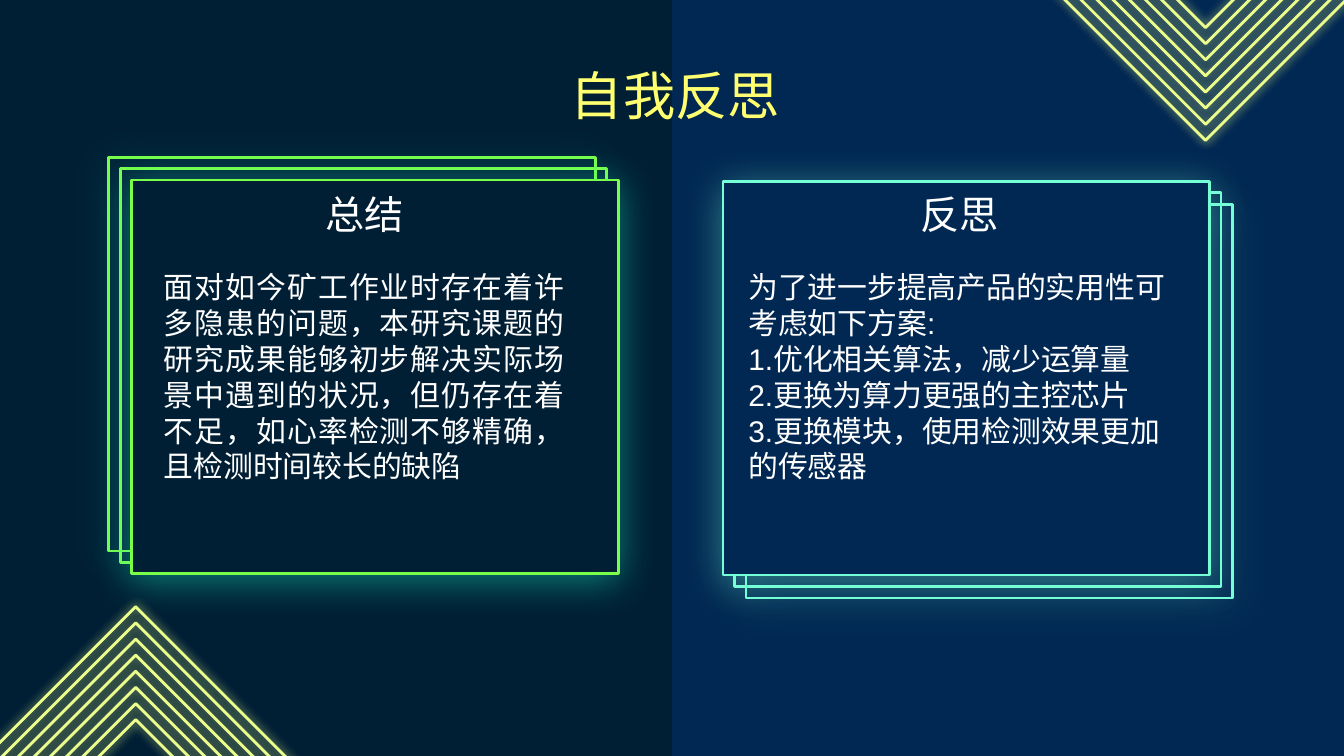
from lxml import etree
from pptx import Presentation
from pptx.dml.color import RGBColor
from pptx.enum.shapes import MSO_SHAPE as SHAPE
from pptx.enum.text import MSO_ANCHOR as ANCHOR, MSO_AUTO_SIZE as AUTO_SIZE, PP_ALIGN as ALIGN
from pptx.oxml.ns import qn
from pptx.util import Inches, Pt

NIGHT, NAVY = "001F35", "012853"
LIME, GREEN, AQUA, TEAL = "ECFF8C", "77FF4A", "75FFD7", "1FFFCE"
WHITE, YELLOW = "FFFFFF", "FFFF70"


def style_neon(shape, line, glow, alpha, blur, distance, fill=None):
    """Outline a shape and give it a soft coloured shadow."""
    if fill:
        shape.fill.solid()
        shape.fill.fore_color.rgb = RGBColor.from_string(fill)
    else:
        shape.fill.background()
    shape.line.color.rgb = RGBColor.from_string(line)
    shape.line.width = Pt(1.5)
    shape.shadow.inherit = False
    effects = shape._element.spPr.find(qn("a:effectLst"))
    shadow = etree.SubElement(effects, qn("a:outerShdw"), blurRad=str(Pt(blur)),
                              dist=str(Pt(distance)), dir="5400000",
                              algn="bl", rotWithShape="0")
    color = etree.SubElement(shadow, qn("a:srgbClr"), val=glow)
    etree.SubElement(color, qn("a:alpha"), val=str(alpha * 1000))


def write_text(box, place, lines, size, font, color, align):
    box.left, box.top, box.width, box.height = map(Inches, place)
    frame = box.text_frame
    frame.text = "\n".join(lines)
    frame.word_wrap = True
    frame.auto_size = AUTO_SIZE.NONE
    frame.vertical_anchor = ANCHOR.MIDDLE
    frame.margin_left = frame.margin_right = Inches(0.1)
    frame.margin_top = frame.margin_bottom = Inches(0.1)
    for paragraph in frame.paragraphs:
        paragraph.alignment = align
        for run in paragraph.runs:
            run.font.size = Pt(size)
            run.font.name = font
            run.font.color.rgb = RGBColor.from_string(color)


prs = Presentation()
prs.slide_width, prs.slide_height = Inches(10), Inches(10 * 9 / 16)
slide = prs.slides.add_slide(prs.slide_layouts[5])
shapes = slide.shapes
slide.background.fill.solid()
slide.background.fill.fore_color.rgb = RGBColor.from_string(NIGHT)

right_half = shapes.add_shape(SHAPE.RECTANGLE, Inches(5), 0, Inches(5), prs.slide_height)
right_half.fill.solid()
right_half.fill.fore_color.rgb = RGBColor.from_string(NAVY)
right_half.line.fill.background()
right_half.shadow.inherit = False

# Nested diamonds in two corners
for center_x, center_y in [(8.97, -0.82), (1.01, 6.38)]:
    for ring in range(8):
        size = 3.73 - 0.24 * ring
        diamond = shapes.add_shape(
            SHAPE.DIAMOND, Inches(center_x - size / 2), Inches(center_y - size / 2),
            Inches(size), Inches(size))
        style_neon(diamond, LIME, LIME, 90, 5.6, 0)

# Stacked cards, back to front: the front one is filled
for left, top, spread, line, glow, fill in [
    (5.55, 1.52, -0.17, AQUA, AQUA, NAVY),
    (0.81, 1.17, 0.17, GREEN, TEAL, NIGHT),
]:
    for layer in range(3):
        shift = spread * layer / 2
        card = shapes.add_shape(SHAPE.RECTANGLE, Inches(left + shift), Inches(top + shift),
                                Inches(3.62), Inches(2.93))
        style_neon(card, line, glow, 38, 21.4, 3, fill if layer == 2 else None)

# The title comes from the layout, so bring it in front of the background
title = shapes.title
title._element.getparent().append(title._element)
write_text(title, (0.78, 0.5, 8.49, 0.41), ["自我反思"],
           28, "Noto Sans CJK SC", YELLOW, ALIGN.CENTER)

summary = ["面对如今矿工作业时存在着许多隐患的问题，本研究课题的研究成果能够初步解决实际场景中"
           "遇到的状况，但仍存在着不足，如心率检测不够精确，且检测时间较长的缺陷"]
reflection = ["为了进一步提高产品的实用性可考虑如下方案:",
              "1.优化相关算法，减少运算量",
              "2.更换为算力更强的主控芯片",
              "3.更换模块，使用检测效果更加的传感器"]
for place, lines, size, font, align in [
    ((1.12, 1.44, 3.18, 0.3), ["总结"], 21, "Arial", ALIGN.CENTER),
    ((1.12, 1.84, 3.18, 1.92), summary, 16, "Lato", ALIGN.JUSTIFY),
    ((5.55, 1.44, 3.18, 0.3), ["反思"], 21, "Arial", ALIGN.CENTER),
    ((5.47, 1.84, 3.48, 1.92), reflection, 16, "Arial", ALIGN.LEFT),
]:
    write_text(shapes.add_textbox(0, 0, 0, 0), place, lines, size, font, WHITE, align)

prs.save("out.pptx")
